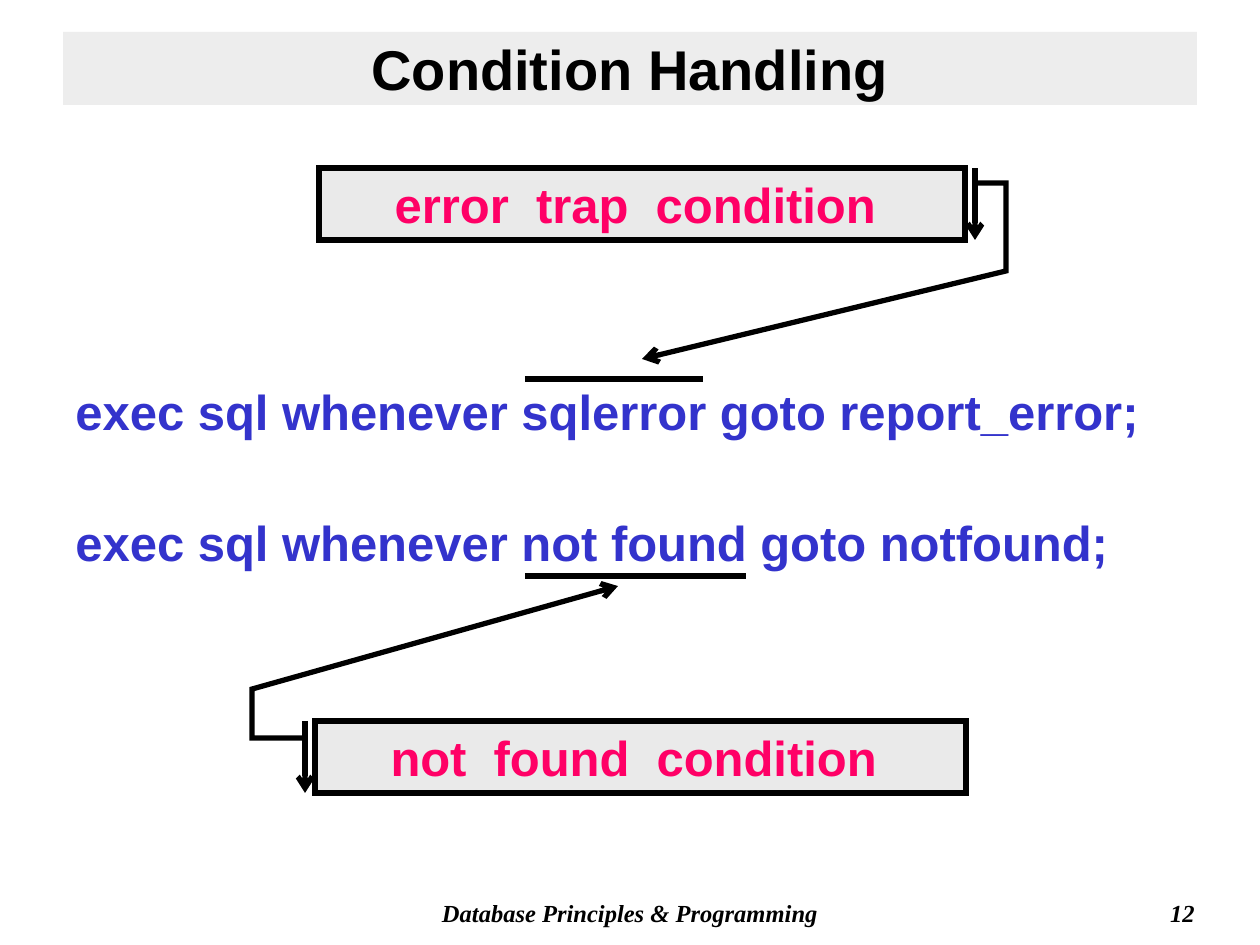
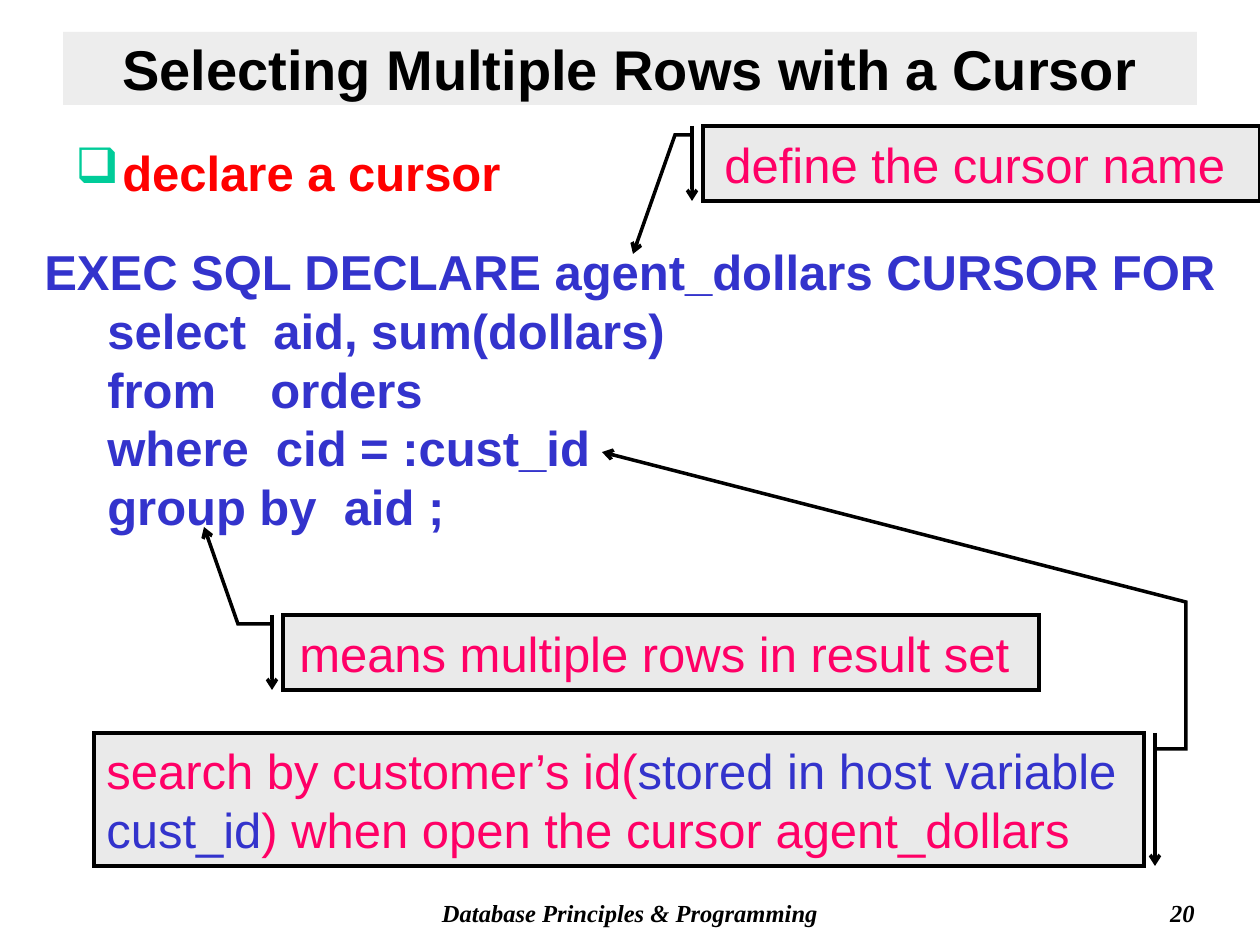
from dataclasses import dataclass
from typing import NamedTuple

from lxml.etree import SubElement
from pptx import Presentation
from pptx.dml.color import RGBColor
from pptx.enum.shapes import MSO_CONNECTOR, MSO_SHAPE
from pptx.enum.text import MSO_ANCHOR, PP_ALIGN
from pptx.oxml.ns import qn
from pptx.util import Emu, Pt

EMU_PER_PX = 914400 / 126


@dataclass(frozen=True)
class Theme:
    black: str = "000000"
    band: str = "DDDDDD"
    callout_fill: str = "EAEAEA"
    pink: str = "FF0066"
    blue: str = "3333CC"
    red: str = "FF0000"
    bullet: str = "00CC99"
    sans: str = "Arial"
    serif: str = "Times New Roman"
    title_size: int = 32
    text_size: int = 28
    footer_size: int = 14


THEME = Theme()


class Area(NamedTuple):
    left: int
    top: int
    width: int
    height: int


class Span(NamedTuple):
    text: str
    color: str


class Callout(NamedTuple):
    """A label whose tail runs through page points to an arrowhead."""
    area: Area
    spans: list[Span]
    tail: list[tuple[int, int]]
    line_width: int
    bold: bool = False
    align: PP_ALIGN = PP_ALIGN.CENTER


TITLE = Area(63, 32, 1134, 73)
FOOTER = Area(357, 892, 546, 42)
NUMBER = Area(945, 892, 262, 42)
FOOTER_TEXT = "Database Principles & Programming"
INDENT = 63
BULLET_INDENT = 47

CONDITION_CALLOUTS = [
    Callout(Area(319, 168, 646, 72), [Span("error  trap  condition ", THEME.pink)],
            [(975, 183), (1006, 183), (1006, 271), (642, 359)], 3, bold=True),
    Callout(Area(315, 721, 651, 72), [Span("not  found  condition ", THEME.pink)],
            [(305, 738), (252, 738), (252, 689), (618, 586)], 3, bold=True),
]
CURSOR_CALLOUTS = [
    Callout(Area(283, 615, 756, 75), [Span("means multiple rows in result set ", THEME.pink)],
            [(272, 624), (238, 624), (204, 527)], 2),
    Callout(Area(94, 733, 1050, 133),
            [Span("search by customer’s id(", THEME.pink),
             Span("stored in host variable cust_id", THEME.blue),
             Span(") when open the cursor agent_dollars", THEME.pink)],
            [(1155, 749), (1186, 749), (1186, 602), (602, 452)], 2, align=PP_ALIGN.LEFT),
    Callout(Area(703, 126, 557, 75), [Span("define the cursor name ", THEME.pink)],
            [(692, 135), (675, 135), (633, 254)], 2),
]
QUERY_LINES = ["select  aid, sum(dollars)", "from    orders",
               "where  cid = :cust_id", "group by  aid ;"]


def px(length: float) -> Emu:
    return Emu(round(length * EMU_PER_PX))


def rgb(color: str) -> RGBColor:
    return RGBColor.from_string(color)


def place(area: Area) -> list[Emu]:
    return [px(length) for length in area]


def add_span(para, text: str, *, color: str = THEME.black, size: int = THEME.text_size,
             font: str = THEME.sans, bold: bool = False, italic: bool = False) -> None:
    span = para.add_run()
    span.text = text
    span.font.name, span.font.size = font, Pt(size)
    span.font.bold, span.font.italic = bold, italic
    span.font.color.rgb = rgb(color)


def set_indent(para, left: int, first: int = 0) -> None:
    properties = para._p.get_or_add_pPr()
    properties.set("marL", str(px(left)))
    properties.set("indent", str(px(first)))


def set_bullet(para, symbol: str, color: str) -> None:
    properties = para._p.get_or_add_pPr()
    bullet_color = SubElement(properties, qn("a:buClr"))
    SubElement(bullet_color, qn("a:srgbClr"), val=color)
    SubElement(properties, qn("a:buChar"), char=symbol)


def add_text(page, area: Area, lines: list[str], *, align: PP_ALIGN = PP_ALIGN.LEFT,
             spacing: float = 1.0, before: float = 0, gap: float = 0,
             inset: int = 6, **style):
    """Add a text box; before precedes the first line, gap the others."""
    box = page.shapes.add_textbox(*place(area))
    frame = box.text_frame
    frame.word_wrap = True
    frame.margin_top = frame.margin_bottom = px(inset)
    for index, line in enumerate(lines):
        para = frame.add_paragraph() if index else frame.paragraphs[0]
        para.alignment, para.line_spacing = align, spacing
        para.space_before = Pt(gap if index else before)
        add_span(para, line, **style)
    return box


def add_underline(page, left: int, right: int, y: int) -> None:
    line = page.shapes.add_connector(MSO_CONNECTOR.STRAIGHT, px(left), px(y), px(right), px(y))
    line.line.color.rgb, line.line.width = rgb(THEME.black), Pt(3)
    SubElement(line._element.spPr, qn("a:effectLst"))


def add_callout(page, callout: Callout) -> None:
    area = callout.area
    preset = (MSO_SHAPE.LINE_CALLOUT_3_BORDER_AND_ACCENT_BAR if len(callout.tail) == 4
              else MSO_SHAPE.LINE_CALLOUT_2_BORDER_AND_ACCENT_BAR)
    box = page.shapes.add_shape(preset, *place(area))
    for index, (x, y) in enumerate(callout.tail):
        box.adjustments[2 * index] = (y - area.top) / area.height
        box.adjustments[2 * index + 1] = (x - area.left) / area.width
    box.shadow.inherit = False
    box.fill.solid()
    box.fill.fore_color.rgb = rgb(THEME.callout_fill)
    box.line.color.rgb, box.line.width = rgb(THEME.black), Pt(callout.line_width)
    outline = box.line._get_or_add_ln()
    SubElement(outline, qn("a:miter"), lim="800000")
    SubElement(outline, qn("a:tailEnd"), type="arrow")
    frame = box.text_frame
    frame.word_wrap, frame.vertical_anchor = True, MSO_ANCHOR.MIDDLE
    para = frame.paragraphs[0]
    para.alignment = callout.align
    for span in callout.spans:
        add_span(para, span.text, color=span.color, bold=callout.bold)


def add_page(deck, title: str, number: int):
    """Add a slide with its title band, footer and number."""
    page = deck.slides.add_slide(deck.slide_layouts[5])
    band = page.shapes.title
    band.left, band.top, band.width, band.height = place(TITLE)
    band.fill.solid()
    band.fill.fore_color.rgb = rgb(THEME.band)
    color = band._element.spPr.find(f".//{qn('a:srgbClr')}")
    SubElement(color, qn("a:alpha"), val="50000")
    frame = band.text_frame
    frame.word_wrap, frame.vertical_anchor = True, MSO_ANCHOR.MIDDLE
    frame.paragraphs[0].alignment = PP_ALIGN.CENTER
    add_span(frame.paragraphs[0], title, size=THEME.title_size, bold=True)
    for area, text, align in ((FOOTER, FOOTER_TEXT, PP_ALIGN.CENTER),
                              (NUMBER, str(number), PP_ALIGN.RIGHT)):
        add_text(page, area, [text], align=align, size=THEME.footer_size,
                 font=THEME.serif, bold=True, italic=True)
    return page


def build_condition_page(deck) -> None:
    page = add_page(deck, "Condition Handling", 12)
    code = add_text(page, Area(0, 348, 1260, 242),
                    ["exec sql whenever sqlerror goto report_error;",
                     "exec sql whenever not found goto notfound;"],
                    spacing=1.3, before=6, gap=31, inset=16, color=THEME.blue, bold=True)
    for para in code.text_frame.paragraphs:
        set_indent(para, INDENT)
    for callout in CONDITION_CALLOUTS:
        add_callout(page, callout)
    add_underline(page, 525, 703, 379)
    add_underline(page, 525, 746, 576)


def build_cursor_page(deck) -> None:
    page = add_page(deck, "Selecting Multiple Rows with a Cursor", 20)
    topic = add_text(page, Area(63, 136, 1134, 80), ["declare a cursor"], before=6,
                     color=THEME.red, bold=True)
    heading = topic.text_frame.paragraphs[0]
    set_indent(heading, BULLET_INDENT, -BULLET_INDENT)
    set_bullet(heading, "❑", THEME.bullet)
    code = add_text(page, Area(32, 242, 1228, 301),
                    ["EXEC SQL DECLARE agent_dollars CURSOR FOR", *QUERY_LINES],
                    spacing=0.9, before=3.4, gap=3.4, color=THEME.blue, bold=True)
    for para in code.text_frame.paragraphs[1:]:
        set_indent(para, INDENT)
    for callout in CURSOR_CALLOUTS:
        add_callout(page, callout)


def main() -> None:
    deck = Presentation()
    deck.slide_width, deck.slide_height = px(1260), px(945)
    build_condition_page(deck)
    build_cursor_page(deck)
    deck.save("out.pptx")


if __name__ == "__main__":
    main()
